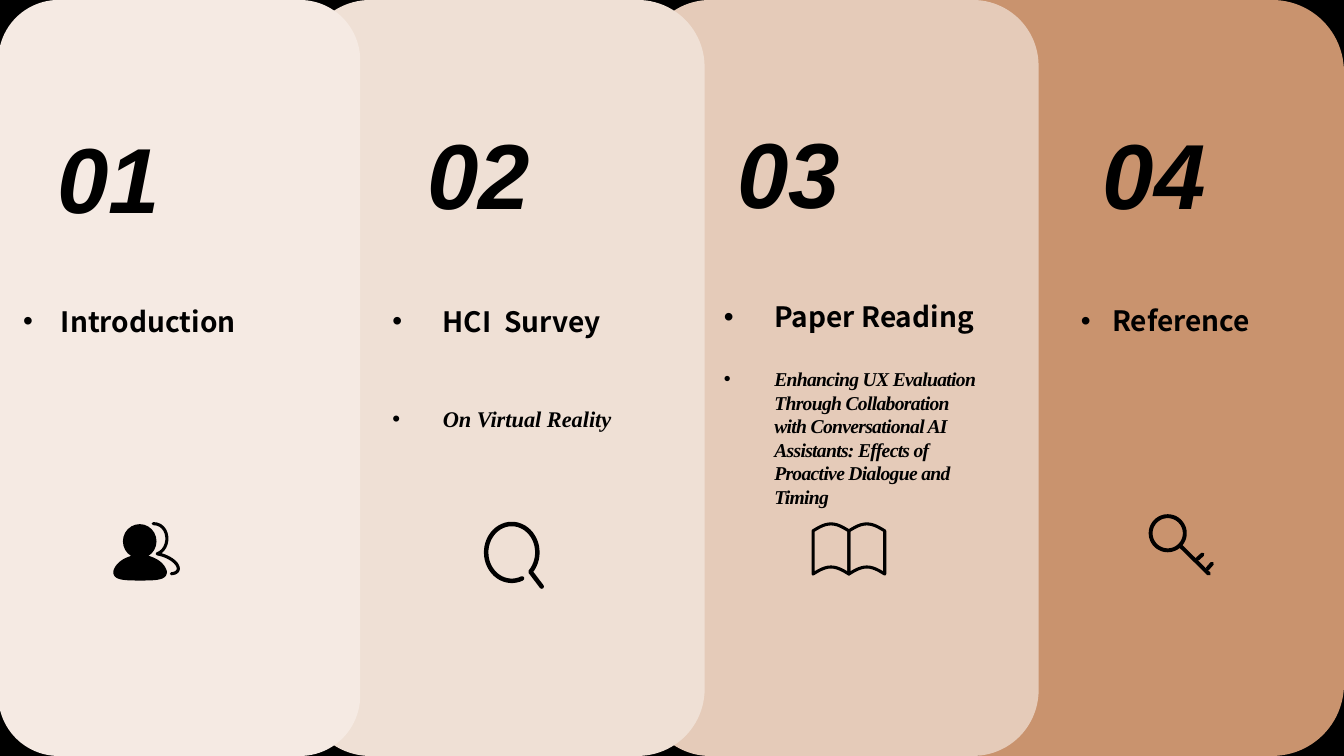
import math

from lxml import etree
from pptx import Presentation
from pptx.dml.color import RGBColor
from pptx.enum.shapes import MSO_SHAPE
from pptx.oxml.ns import qn
from pptx.util import Pt

BLACK = RGBColor(0x00, 0x00, 0x00)
PALE_PINK = RGBColor(0xF5, 0xEA, 0xE3)
CREAM = RGBColor(0xEF, 0xE0, 0xD5)
ROSE = RGBColor(0xE5, 0xCB, 0xB9)
COPPER = RGBColor(0xC9, 0x93, 0x6E)

ROUNDED = MSO_SHAPE.ROUNDED_RECTANGLE
OVAL = MSO_SHAPE.OVAL
SLIDE_WIDTH, SLIDE_HEIGHT = 960, 540
LINE_HEIGHT = 1.2
CURVE_STEPS = 12


def add_filled_shape(shapes, kind, left, top, width, height, color):
    shape = shapes.add_shape(kind, Pt(left), Pt(top), Pt(width), Pt(height))
    shape.shadow.inherit = False
    shape.fill.solid()
    shape.fill.fore_color.rgb = color
    shape.line.fill.background()


def add_panel(shapes, left, width, color):
    add_filled_shape(shapes, ROUNDED, left, 0, width, SLIDE_HEIGHT, color)


def add_text_frame(shapes, left, top, width, height):
    frame = shapes.add_textbox(Pt(left), Pt(top), Pt(width), Pt(height)).text_frame
    frame.word_wrap = True
    return frame


def format_paragraph(paragraph, font_name, size, italic, tracking=0):
    paragraph.line_spacing = Pt(size * LINE_HEIGHT)
    run = paragraph.runs[0]
    run.font.name = font_name
    run.font.size = Pt(size)
    run.font.bold = True
    run.font.italic = italic
    run.font.color.rgb = BLACK
    properties = run._r.get_or_add_rPr()
    etree.SubElement(properties, qn("a:ea")).set("typeface", font_name)
    if tracking:
        properties.set("spc", str(round(tracking * 100)))


def add_number(shapes, number, left, top):
    paragraph = add_text_frame(shapes, left, top, 174, 131).paragraphs[0]
    paragraph.text = number
    format_paragraph(paragraph, "Arial", 66, True)


def add_bullet(paragraph, indent):
    properties = paragraph._p.get_or_add_pPr()
    properties.set("marL", str(Pt(indent)))
    properties.set("indent", str(-Pt(indent)))
    etree.SubElement(properties, qn("a:buFont")).set("typeface", "Arial")
    etree.SubElement(properties, qn("a:buChar")).set("char", "•")


def add_topic(shapes, box, indent, title, detail=None, size=16, gap=0, tracking=0):
    """Bulleted chapter title, with an optional bulleted detail gap points below."""
    frame = add_text_frame(shapes, *box)
    heading = frame.paragraphs[0]
    heading.text = title
    format_paragraph(heading, "Noto Sans CJK SC", 20, False)
    add_bullet(heading, indent)
    if detail:
        subtitle = frame.add_paragraph()
        subtitle.text = detail
        format_paragraph(subtitle, "Times New Roman", size, True, tracking)
        subtitle.space_before = Pt(gap)
        add_bullet(subtitle, indent)


def draw_path(shapes, *contours, stroke=None, closed=False):
    """One black path: outlined when stroke is given, otherwise a solid area."""
    builder = None
    for contour in contours:
        corners = [(Pt(x), Pt(y)) for x, y in contour]
        if builder is None:
            builder = shapes.build_freeform(*corners[0])
        else:
            builder.move_to(*corners[0])
        builder.add_line_segments(corners[1:], close=closed)
    path = builder.convert_to_shape()
    path.shadow.inherit = False
    if stroke is None:
        path.fill.solid()
        path.fill.fore_color.rgb = BLACK
        path.line.fill.background()
        return
    path.fill.background()
    path.line.color.rgb = BLACK
    path.line.width = Pt(stroke)
    outline = path.element.spPr.find(qn("a:ln"))
    outline.set("cap", "rnd")
    etree.SubElement(outline, qn("a:round"))


def curve(start, pull_start, pull_end, end):
    """Points along a cubic Bézier curve."""
    points = []
    for step in range(CURVE_STEPS + 1):
        t = step / CURVE_STEPS
        weights = ((1 - t) ** 3, 3 * t * (1 - t) ** 2, 3 * t * t * (1 - t), t ** 3)
        anchors = (start, pull_start, pull_end, end)
        points.append(tuple(sum(w * a[axis] for w, a in zip(weights, anchors))
                            for axis in (0, 1)))
    return points


def arc(center_x, center_y, radius_x, radius_y, first, last):
    """Points along an ellipse, clockwise between two angles in degrees."""
    steps = 4 * CURVE_STEPS
    angles = [math.radians(first + (last - first) * i / steps) for i in range(steps + 1)]
    return [(center_x + radius_x * math.cos(a), center_y + radius_y * math.sin(a))
            for a in angles]


def draw_people(shapes):
    middle = 100.1
    add_filled_shape(shapes, OVAL, 87.8, 374.4, 24, 24.5, BLACK)
    half_body = (curve((middle, 396), (112, 397), (118, 403), (119.2, 408))
                 + curve((119.2, 408), (119.8, 414.5), (112, 414.7), (middle, 414.7)))
    mirrored = [(2 * middle - x, y) for x, y in reversed(half_body)]
    draw_path(shapes, half_body + mirrored, closed=True)
    companion = (curve((109.4, 374), (121.5, 374), (122.4, 392), (112.3, 395.6))
                 + curve((112.3, 395.6), (120, 397), (127, 401.5), (127.4, 406))
                 + curve((127.4, 406), (127.4, 408.5), (125, 409.7), (122.4, 409.8)))
    draw_path(shapes, companion, stroke=2.2)


def draw_magnifier(shapes):
    lens = arc(365.6, 394.6, 18.3, 20.3, 66, 403)
    draw_path(shapes, lens + [(387, 419)], stroke=3.2)


def draw_book(shapes):
    spine, page_width, page_top, page_bottom, rise = 606.4, 25.6, 379.2, 410, 5
    pages = []
    for left in (spine - page_width, spine):
        wave = [(left + page_width * i / CURVE_STEPS,
                 rise * math.sin(math.pi * i / CURVE_STEPS))
                for i in range(CURVE_STEPS + 1)]
        top = [(x, page_top - lift) for x, lift in wave]
        bottom = [(x, page_bottom - lift) for x, lift in reversed(wave)]
        pages.append(top + bottom)
    draw_path(shapes, *pages, stroke=2.2, closed=True)


def draw_key(shapes):
    bow = arc(834.1, 380.9, 12.2, 12.2, 0, 360)
    shaft = [(842.7, 389.5), (863.5, 409.9)]
    inner_tooth = [(855.4, 399.2), (859, 396)]
    outer_tooth = [(862.6, 406.1), (865.8, 402.5)]
    draw_path(shapes, bow, shaft, inner_tooth, outer_tooth, stroke=2.8)


def main():
    presentation = Presentation()
    presentation.slide_width = Pt(SLIDE_WIDTH)
    presentation.slide_height = Pt(SLIDE_HEIGHT)
    slide = presentation.slides.add_slide(presentation.slide_layouts[6])
    slide.background.fill.solid()
    slide.background.fill.fore_color.rgb = BLACK
    shapes = slide.shapes

    add_panel(shapes, 652.3, 307.7, COPPER)
    add_number(shapes, "04", 780.8, 80)
    add_topic(shapes, (765, 213.5, 157.5, 55.5), 22.3, "Reference")
    draw_key(shapes)

    add_panel(shapes, 460.2, 281.7, ROSE)
    add_number(shapes, "03", 519.6, 79.2)
    add_topic(shapes, (510, 210.6, 197.3, 181.5), 36, "Paper Reading",
              "Enhancing UX Evaluation Through Collaboration with Conversational AI "
              "Assistants: Effects of Proactive Dialogue and Timing",
              size=14, gap=24, tracking=-0.5)
    draw_book(shapes)

    add_panel(shapes, 216.7, 286.6, CREAM)
    add_number(shapes, "02", 298, 80)
    add_topic(shapes, (273.2, 214, 220.3, 99.4), 36, "HCI  Survey",
              "On Virtual Reality", size=16, gap=48)
    draw_magnifier(shapes)

    add_panel(shapes, -1.2, 258.5, PALE_PINK)
    add_number(shapes, "01", 34, 82.8)
    draw_people(shapes)
    add_topic(shapes, (9.4, 214, 253.4, 31.7), 27, "Introduction")

    presentation.save("out.pptx")


if __name__ == "__main__":
    main()
